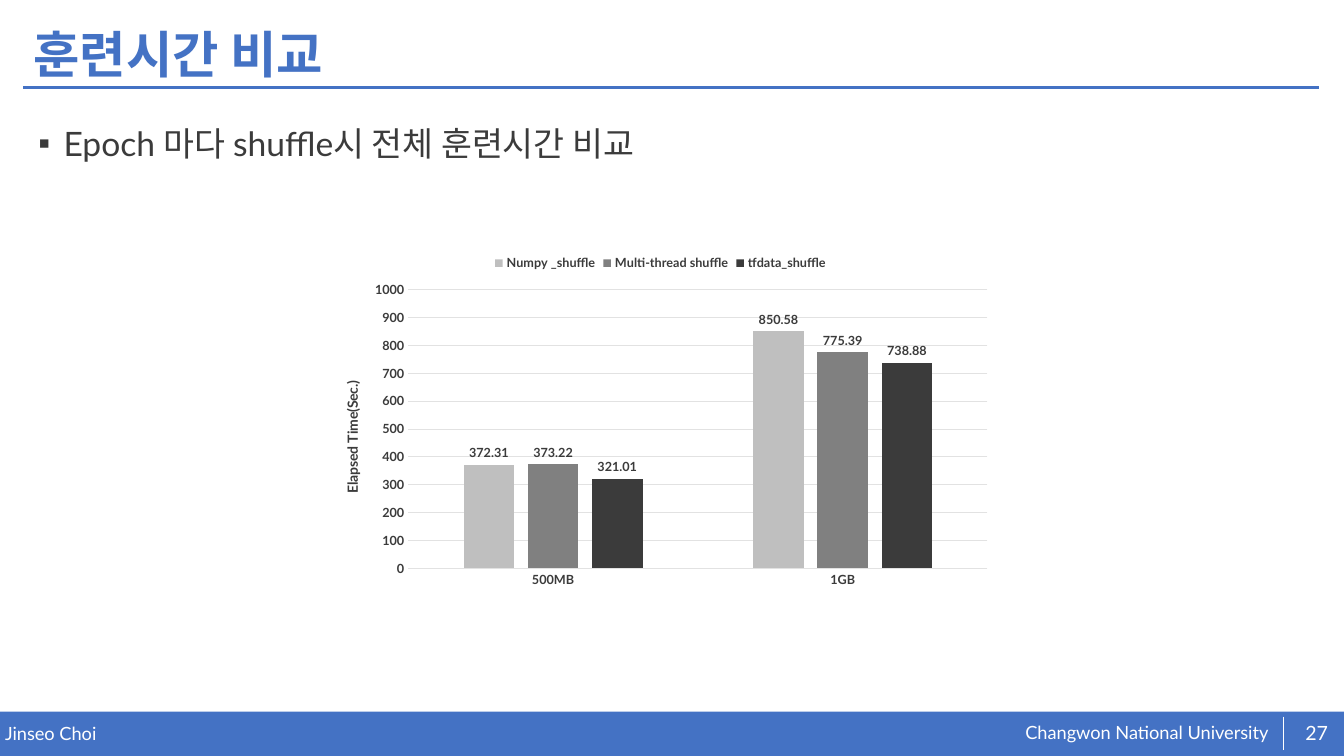
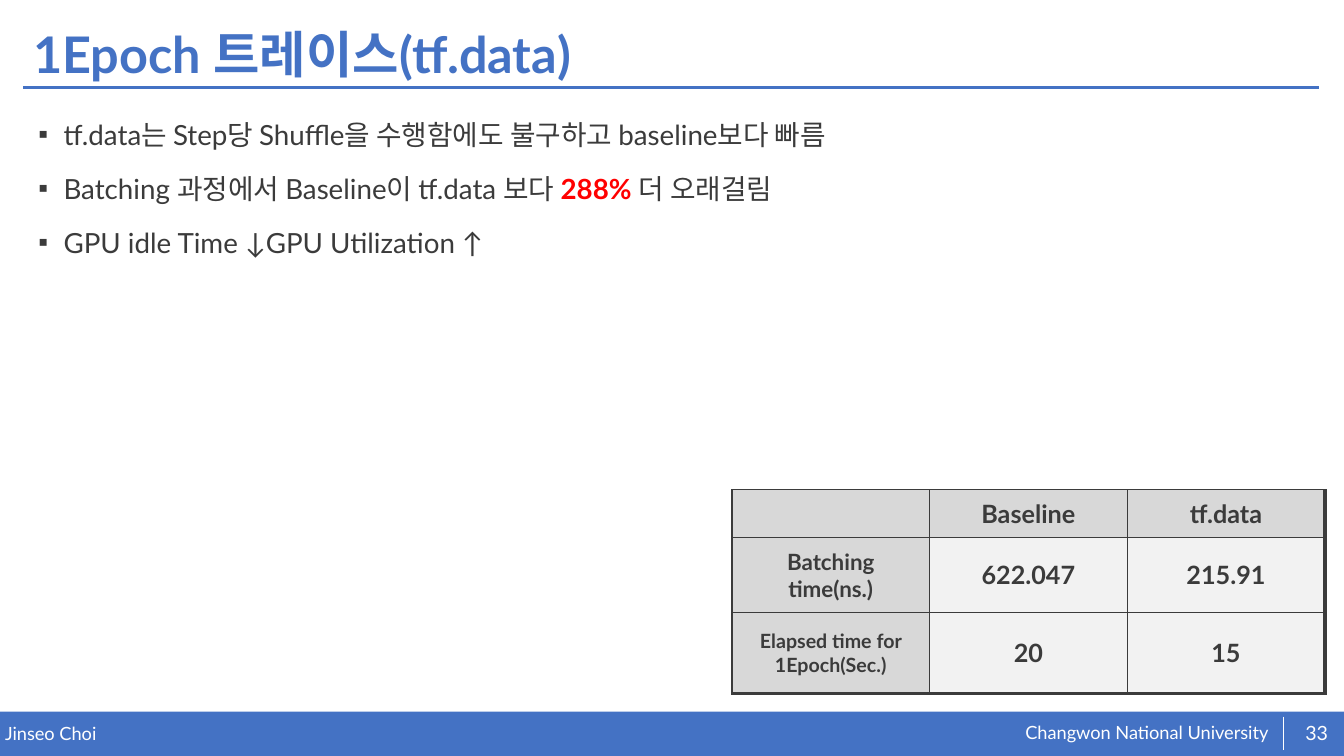
from lxml import etree
from pptx import Presentation
from pptx.chart.data import CategoryChartData as Data
from pptx.dml.color import RGBColor as RGB
from pptx.enum.chart import XL_CHART_TYPE as Kind
from pptx.enum.chart import XL_LABEL_POSITION as Spot
from pptx.enum.chart import XL_LEGEND_POSITION as Side
from pptx.enum.chart import XL_TICK_MARK as Tick
from pptx.enum.shapes import MSO_CONNECTOR as Line
from pptx.enum.shapes import MSO_SHAPE as Shape
from pptx.enum.text import MSO_ANCHOR as Anchor
from pptx.enum.text import MSO_AUTO_SIZE as Auto
from pptx.enum.text import PP_ALIGN as Align
from pptx.oxml.ns import qn
from pptx.util import Inches, Pt

BLUE = RGB(0x44, 0x72, 0xC4)
DARK = RGB(0x3B, 0x3B, 0x3B)
WHITE = RGB(0xFF, 0xFF, 0xFF)
RED = RGB(0xFF, 0, 0)
GRID = RGB(0xE2, 0xE2, 0xE2)
SILVER = RGB(0xBF, 0xBF, 0xBF)
GRAY = RGB(0x80, 0x80, 0x80)
HEAD = RGB(0xD8, 0xD8, 0xD8)
PALE = RGB(0xF2, 0xF2, 0xF2)

FONT = "Lato"
TITLE = {"size": Pt(36), "bold": True}
LABEL = {"size": Pt(9), "bold": True}


def style(font, color, form):
    for name, value in {"name": FONT, **form}.items():
        setattr(font, name, value)
    font.color.rgb = color


def place(shape, *box):
    for name, value in zip(("left", "top", "width", "height"), box):
        setattr(shape, name, Inches(value))


def write(par, text, color, form):
    run = par.add_run()
    run.text = text
    style(run.font, color, form)


def add_text(slide, text, box, size, align=Align.LEFT, anchor=Anchor.TOP):
    frame = slide.shapes.add_textbox(*map(Inches, box)).text_frame
    form = {"margin_left": 0, "margin_top": 0, "margin_right": 0,
            "margin_bottom": 0, "word_wrap": True, "vertical_anchor": anchor}
    for name, value in form.items():
        setattr(frame, name, value)
    par = frame.paragraphs[0]
    par.alignment = align
    write(par, text, WHITE, {"size": Pt(size)})


def add_line(slide, ends, color, width):
    line = slide.shapes.add_connector(Line.STRAIGHT, *map(Inches, ends))
    line.line.color.rgb = color
    line.line.width = Pt(width)
    etree.SubElement(line._element.spPr, qn("a:effectLst"))


def add_band(slide):
    band = slide.shapes.add_shape(
        Shape.RECTANGLE, 0, Inches(7.06), Inches(13.33), Inches(0.44))
    band.shadow.inherit = False
    band.fill.solid()
    band.fill.fore_color.rgb = BLUE
    band.line.fill.background()


def add_page(deck, title, number):
    slide = deck.slides.add_slide(deck.slide_layouts[1])
    add_band(slide)
    add_text(slide, "Changwon National University", (10.17, 7.16, 2.67, 0.23), 13)
    add_text(slide, "Jinseo Choi", (0.05, 7.17, 6.55, 0.22), 13)
    add_line(slide, (0.23, 0.87, 13.08, 0.87), BLUE, 2)
    add_line(slide, (12.73, 7.11, 12.73, 7.44), WHITE, 0.5)
    add_text(slide, number, (12.82, 7.07, 0.48, 0.4), 14, Align.CENTER, Anchor.MIDDLE)
    head = slide.shapes.title
    place(head, 0.23, 0.18, 12.86, 0.77)
    head.text_frame.auto_size = Auto.NONE
    head.text_frame.vertical_anchor = Anchor.MIDDLE
    par = head.text_frame.paragraphs[0]
    par.alignment = Align.LEFT
    par.line_spacing = 0.9
    write(par, title, BLUE, TITLE)
    return slide


def add_mark(par):
    props = par._p.get_or_add_pPr()
    props.set("marL", str(Inches(0.25)))
    props.set("indent", str(-Inches(0.25)))
    etree.SubElement(props, qn("a:buFont"), typeface="Arial")
    etree.SubElement(props, qn("a:buChar"), char="▪")


def fill_list(slide, items, size, space):
    body = slide.placeholders[1]
    place(body, 0.28, 1.05, 12.86, 5.63)
    frame = body.text_frame
    frame.auto_size = Auto.NONE
    for i, item in enumerate(items):
        par = frame.add_paragraph() if i else frame.paragraphs[0]
        add_mark(par)
        par.line_spacing = space
        par.space_before = Pt(10 if i else 0)
        for text, strong in item:
            write(par, text, RED if strong else DARK,
                  {"size": Pt(size), "bold": strong})


def set_layout(node, spots):
    layout = node.find(qn("c:layout"))
    if layout is None:
        layout = etree.Element(qn("c:layout"))
        node.insert(0, layout)
    manual = etree.SubElement(layout, qn("c:manualLayout"))
    for name, value in spots.items():
        etree.SubElement(manual, qn("c:" + name), val=str(value))


def set_axes(chart):
    base, scale = chart.category_axis, chart.value_axis
    for axis in (base, scale):
        axis.major_tick_mark = axis.minor_tick_mark = Tick.NONE
        style(axis.tick_labels.font, DARK, LABEL)
    base.format.line.color.rgb = GRID
    base.format.line.width = Pt(0.75)
    limits = {"minimum_scale": 0, "maximum_scale": 1000, "major_unit": 100}
    for name, value in limits.items():
        setattr(scale, name, value)
    scale.format.line.fill.background()
    scale.major_gridlines.format.line.color.rgb = GRID
    scale.major_gridlines.format.line.width = Pt(0.75)
    title = scale.axis_title
    write(title.text_frame.paragraphs[0], "Elapsed Time(Sec.)", DARK,
          {"size": Pt(10), "bold": True})
    set_layout(title._element, {"xMode": "edge", "yMode": "edge",
                                "x": 0.03, "y": 0.38})


def add_bars(slide, cats, rows, box):
    data = Data()
    data.categories = cats
    for name, values, _ in rows:
        data.add_series(name, values)
    chart = slide.shapes.add_chart(
        Kind.COLUMN_CLUSTERED, *map(Inches, box), data).chart
    style(chart.font, DARK, {"size": Pt(10)})
    chart.has_title = False
    chart.has_legend = True
    chart.legend.position = Side.TOP
    chart.legend.include_in_layout = False
    style(chart.legend.font, DARK, LABEL)
    set_axes(chart)
    plot = chart.plots[0]
    for name, value in {"gap_width": 219, "overlap": -27,
                        "vary_by_categories": False}.items():
        setattr(plot, name, value)
    for bars, (_, _, color) in zip(plot.series, rows):
        bars.format.fill.solid()
        bars.format.fill.fore_color.rgb = color
        labels = bars.data_labels
        labels.show_value = True
        labels.position = Spot.OUTSIDE_END
        style(labels.font, DARK, LABEL)
    set_layout(chart._chartSpace.chart.plotArea, {
        "layoutTarget": "inner", "xMode": "edge", "yMode": "edge",
        "x": 0.13, "y": 0.13, "w": 0.85, "h": 0.79})


def set_edge(cell, side, width):
    edge = etree.SubElement(cell._tc.get_or_add_tcPr(), qn("a:ln" + side),
                            w=str(Pt(width)))
    fill = etree.SubElement(edge, qn("a:solidFill"))
    etree.SubElement(fill, qn("a:srgbClr"), val=str(DARK))


def add_grid(slide, rows, sizes, highs, box):
    table = slide.shapes.add_table(
        len(rows), len(rows[0]), *map(Inches, box)).table
    table.first_row = table.horz_banding = False
    for row, high in zip(table.rows, highs):
        row.height = Inches(high)
    for r, row in enumerate(rows):
        for c, text in enumerate(row):
            cell = table.cell(r, c)
            wide = 3 if c == len(row) - 1 else 1
            deep = 3 if r == len(rows) - 1 else 1
            for side, width in {"L": 1, "R": wide, "T": 1, "B": deep}.items():
                set_edge(cell, side, width)
            cell.fill.solid()
            cell.fill.fore_color.rgb = PALE if r and c else HEAD
            cell.vertical_anchor = Anchor.MIDDLE
            if text:
                par = cell.text_frame.paragraphs[0]
                par.alignment = Align.CENTER
                write(par, text, DARK,
                      {"size": Pt(18 if c else sizes[r]), "bold": True})


def main():
    deck = Presentation()
    deck.slide_width, deck.slide_height = Inches(13.33), Inches(7.5)

    slide = add_page(deck, "훈련시간 비교", "27")
    fill_list(slide, [[("Epoch 마다 shuffle시 전체 훈련시간 비교", False)]], 24, 1.3)
    add_bars(slide, ["500MB", "1GB"], [
        ("Numpy _shuffle", (372.31, 850.58), SILVER),
        ("Multi-thread shuffle", (373.22, 775.39), GRAY),
        ("tfdata_shuffle", (321.01, 738.88), DARK),
    ], (3.17, 2.42, 6.76, 3.5))

    slide = add_page(deck, "1Epoch 트레이스(tf.data)", "33")
    fill_list(slide, [
        [("tf.data는 Step당 Shuffle을 수행함에도 불구하고 baseline보다 빠름", False)],
        [("Batching 과정에서 Baseline이 tf.data 보다 ", False),
         ("288% ", True), ("더 오래걸림", False)],
        [("GPU idle Time ↓GPU Utilization ↑", False)],
    ], 19.8, 1.2)
    add_grid(slide, [
        ("", "Baseline", "tf.data"),
        ("Batching time(ns.)", "622.047", "215.91"),
        ("Elapsed time for 1Epoch(Sec.)", "20", "15"),
    ], (18, 16, 14), (0.47, 0.75, 0.8), (7.26, 4.86, 5.88, 2.02))

    deck.save("out.pptx")


if __name__ == "__main__":
    main()
